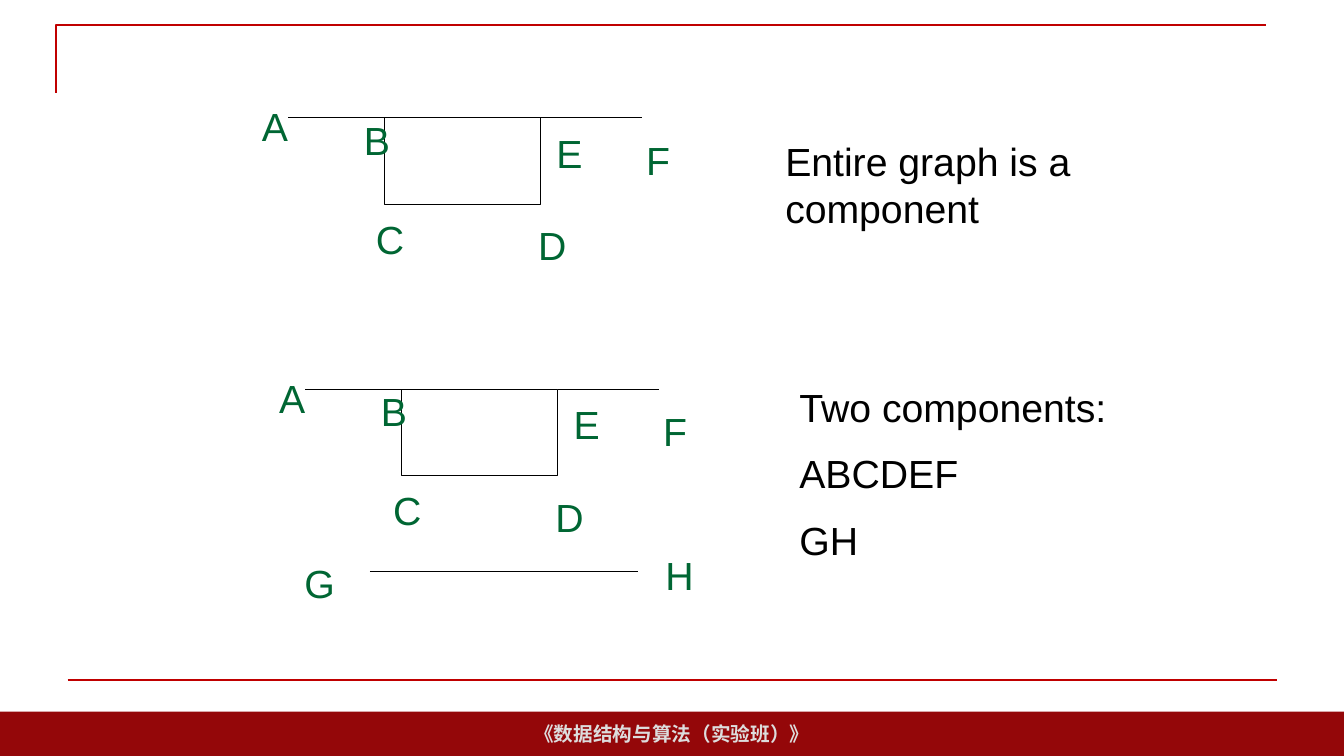
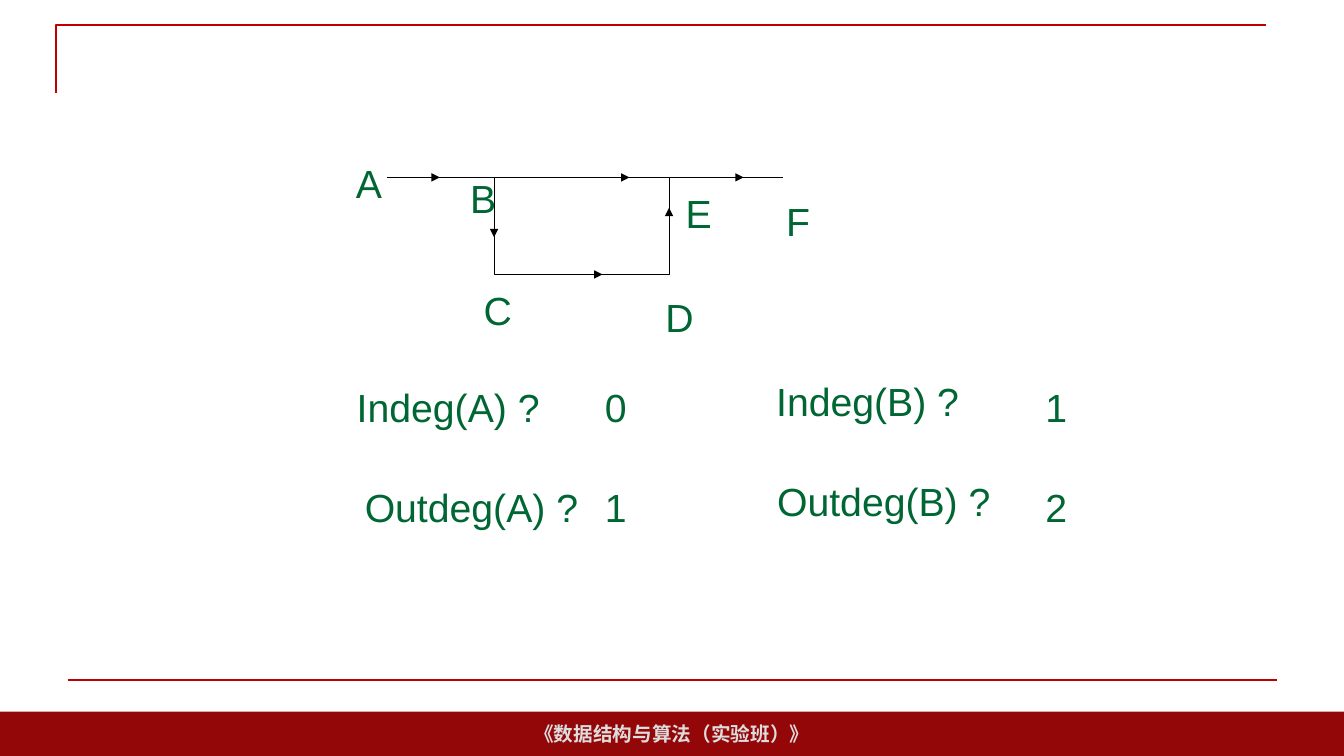
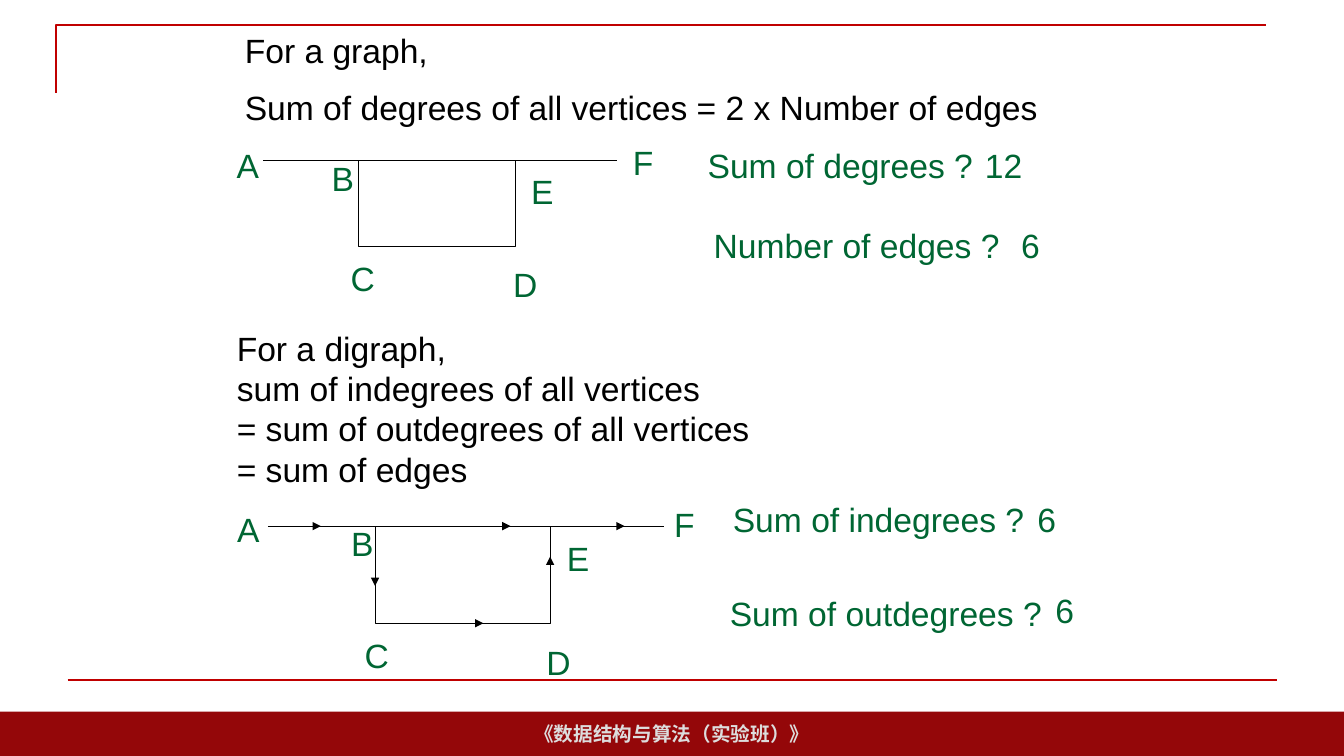
from lxml import etree
from pptx import Presentation
from pptx.dml.color import RGBColor
from pptx.enum import shapes, text
from pptx.oxml import ns
from pptx.util import Inches, Pt

FONT = "Arial"
GREEN, BLACK = "006633", "000000"
RED, DARK_RED, PALE = "C00000", "940709", "DDDDDD"
FOOTER = "《数据结构与算法（实验班）》"

# Graph drawing: inches from the top left corner of the square B-C-D-E
SQUARE = (1.55, 0.86)
EDGES = [((-0.95, 0), (0, 0)), ((1.55, 0), (2.56, 0))]
VERTICES = {"A": (-1.31, -0.2), "B": (-0.3, -0.07), "C": (-0.18, 0.92),
            "D": (1.43, 0.98), "E": (1.61, 0.06), "F": (2.5, 0.13)}
ARROWS = [((0.06, 0), (1.2, 0)), ((-0.83, 0), (-0.48, 0)),
          ((0, 0.27), (0, 0.53)), ((0.24, 0.86), (0.96, 0.86)),
          ((1.55, 0.73), (1.55, 0.27)), ((1.74, 0), (2.21, 0))]
LABEL_WIDTH = 0.36
DIGRAPH_SCALE = 1.12

# Texts: (left, top, width, colour, lines, space between the lines)
SLIDES = [
    {"size": 28,
     "graphs": [
         {"at": (3.81, 1.17)},
         {"at": (3.98, 3.86),
          "extra_edges": [((-0.31, 1.81), (2.35, 1.81))],
          "labels": {"G": (-1.06, 1.64), "H": (2.52, 1.56)}}],
     "texts": [
         (7.69, 1.31, 3.46, BLACK, ["Entire graph is a component"], True),
         (7.83, 3.75, 3.5, BLACK, ["Two components:", "ABCDEF", "GH"], True)]},
    {"size": 28,
     "graphs": [{"at": (4.9, 1.76), "directed": True}],
     "texts": [
         (3.44, 3.75, 2.67, GREEN, ["Indeg(A) ?"], True),
         (5.9, 3.75, 1, GREEN, ["0"], True),
         (3.52, 4.75, 2.67, GREEN, ["Outdeg(A) ?"], True),
         (5.9, 4.75, 1, GREEN, ["1"], True),
         (7.6, 3.69, 2.67, GREEN, ["Indeg(B) ?"], True),
         (10.27, 3.75, 1, GREEN, ["1"], True),
         (7.61, 4.69, 2.67, GREEN, ["Outdeg(B) ?"], True),
         (10.27, 4.75, 1, GREEN, ["2"], True)]},
    {"size": 24,
     "graphs": [
         {"at": (3.56, 1.59),
          "labels": {"B": (-0.37, -0.07), "F": (2.62, -0.23)}},
         {"at": (3.72, 5.22), "directed": True, "labels": {"F": (2.56, -0.24)}}],
     "texts": [
         (2.33, 0.25, 8.66, BLACK,
          ["For a graph,",
           "Sum of degrees of all vertices = 2 x Number of edges"], True),
         (2.25, 3.2, 7.09, BLACK,
          ["For a digraph,", "sum of indegrees of all vertices",
           "= sum of outdegrees of all vertices", "= sum of edges"], False),
         (6.92, 1.39, 2.92, GREEN, ["Sum of degrees ?"], True),
         (9.67, 1.39, 0.92, GREEN, ["12"], True),
         (6.98, 2.18, 3.41, GREEN, ["Number of edges ?"], True),
         (10.03, 2.18, 0.7, GREEN, ["6"], True),
         (7.17, 4.9, 3.3, GREEN, ["Sum of indegrees ?"], True),
         (10.19, 4.9, 0.7, GREEN, ["6"], True),
         (7.14, 5.83, 3.53, GREEN, ["Sum of outdegrees ?"], True),
         (10.37, 5.8, 0.6, GREEN, ["6"], True)]},
]


def rgb(colour):
    return RGBColor.from_string(colour)


def set_line(shape, colour, width):
    shape.line.color.rgb = rgb(colour)
    shape.line.width = Pt(width)


def add_line(parent, start, end, colour=BLACK, width=0.75, arrow=False):
    line = parent.shapes.add_connector(
        shapes.MSO_CONNECTOR.STRAIGHT, *map(Inches, (*start, *end)))
    set_line(line, colour, width)
    if arrow:
        etree.SubElement(line.line._get_or_add_ln(), ns.qn("a:tailEnd"),
                         type="triangle")
    etree.SubElement(line.element.spPr, ns.qn("a:effectLst"))
    return line


def add_text(parent, left, top, width, colour, lines, spaced, size):
    line_height = 1.2 * size
    gap = size / 2 if spaced else 0
    height = (len(lines) * line_height + (len(lines) - 1) * gap) / 72 + 0.1
    box = parent.shapes.add_textbox(*map(Inches, (left, top, width, height)))
    frame = box.text_frame
    frame.word_wrap = True
    frame.text = "\n".join(lines)
    for index, paragraph in enumerate(frame.paragraphs):
        paragraph.line_spacing = Pt(line_height)
        paragraph.space_before = Pt(gap if index else 0)
        paragraph.font.size = Pt(size)
        paragraph.font.name = FONT
        paragraph.font.color.rgb = rgb(colour)


def add_graph(slide, size, at, directed=False, labels=None, extra_edges=()):
    scale = DIGRAPH_SCALE if directed else 1
    group = slide.shapes.add_group_shape()

    def place(point):
        return tuple(origin + scale * offset for origin, offset in zip(at, point))

    square = group.shapes.add_shape(
        shapes.MSO_SHAPE.RECTANGLE, *map(Inches, at),
        *(Inches(scale * side) for side in SQUARE))
    square.shadow.inherit = False
    square.fill.background()
    set_line(square, BLACK, 0.75)
    for start, end in [*EDGES, *extra_edges]:
        add_line(group, place(start), place(end))
    for name, point in {**VERTICES, **(labels or {})}.items():
        add_text(group, *place(point), scale * LABEL_WIDTH, GREEN, [name],
                 True, size)
    for start, end in ARROWS if directed else ():
        add_line(group, place(start), place(end), arrow=True)


def add_frame(slide):
    """Draw the footer band and the red rules; return the shapes."""
    band = slide.shapes.add_shape(
        shapes.MSO_SHAPE.RECTANGLE, *map(Inches, (0, 7.06, 13.33, 0.44)))
    band.shadow.inherit = False
    band.fill.solid()
    band.fill.fore_color.rgb = rgb(DARK_RED)
    band.line.fill.background()
    band.text_frame.word_wrap = False
    band.text_frame.vertical_anchor = text.MSO_ANCHOR.MIDDLE
    band.text_frame.text = FOOTER
    paragraph = band.text_frame.paragraphs[0]
    paragraph.alignment = text.PP_ALIGN.CENTER
    paragraph.font.size = Pt(14)
    paragraph.font.bold = True
    paragraph.font.name = FONT
    paragraph.font.color.rgb = rgb(PALE)

    builder = slide.shapes.build_freeform(Inches(0.56), Inches(0.92))
    builder.add_line_segments(
        [(Inches(0.56), Inches(0.25)), (Inches(12.56), Inches(0.25))], close=False)
    corner = builder.convert_to_shape()
    corner.shadow.inherit = False
    corner.fill.background()
    set_line(corner, RED, 1.5)
    rule = add_line(slide, (0.67, 6.75), (12.67, 6.75), RED, 1.5)
    return band, corner, rule


def main():
    presentation = Presentation()
    presentation.slide_width = Inches(13.33)
    presentation.slide_height = Inches(7.5)
    layout = presentation.slide_layouts[6]
    slides = [presentation.slides.add_slide(layout) for _ in SLIDES]

    # The frame belongs to the layout, so every slide shows it
    for placeholder in list(layout.placeholders):
        layout.shapes.element.remove(placeholder.element)
    for shape in add_frame(slides[0]):
        layout.shapes.element.append(shape.element)

    for slide, content in zip(slides, SLIDES):
        for graph in content["graphs"]:
            add_graph(slide, content["size"], **graph)
        for item in content["texts"]:
            add_text(slide, *item, content["size"])

    presentation.save("out.pptx")


if __name__ == "__main__":
    main()
